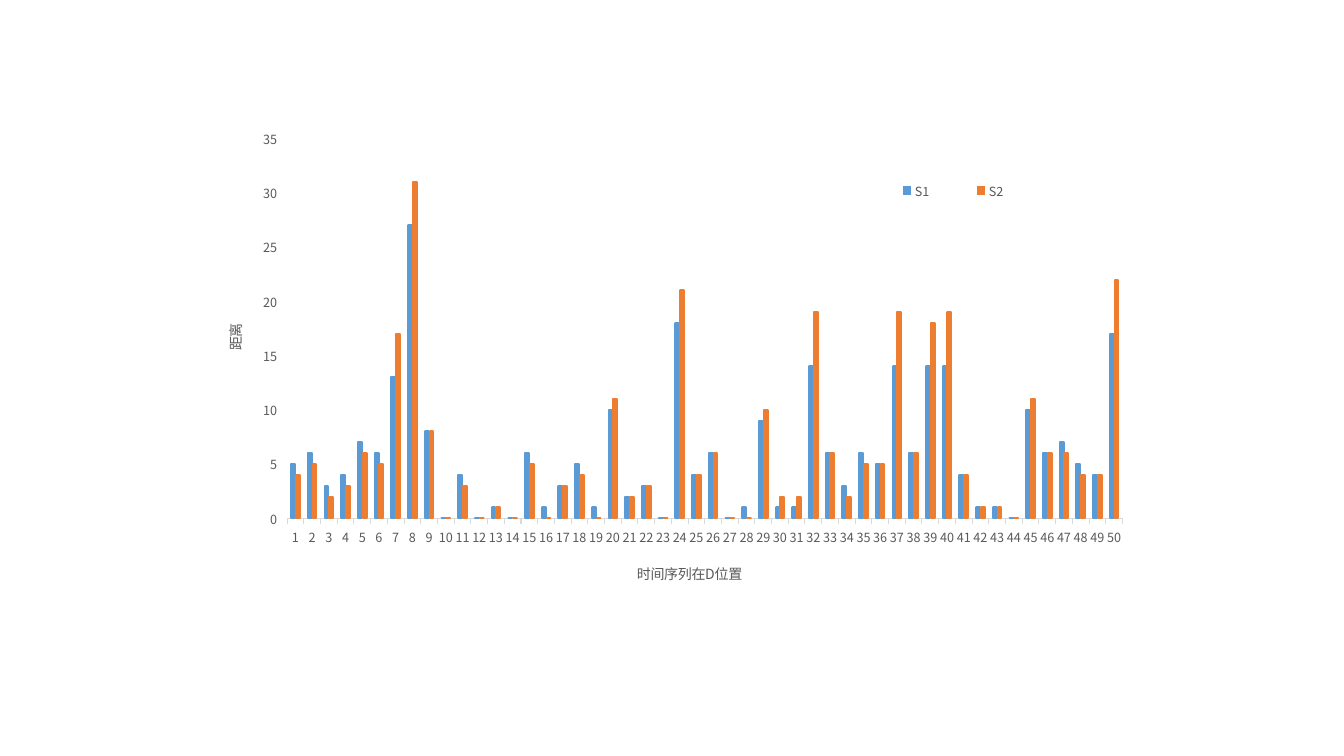
from lxml.etree import SubElement
from pptx import Presentation
from pptx.chart.data import CategoryChartData
from pptx.dml.color import RGBColor
from pptx.enum.chart import XL_CHART_TYPE, XL_LEGEND_POSITION, XL_TICK_MARK
from pptx.oxml.ns import qn
from pptx.util import Inches, Pt

FONT = "Noto Sans CJK SC"
GREY = RGBColor(0x59, 0x59, 0x59)
AXIS_GREY = RGBColor(0xD9, 0xD9, 0xD9)
BLUE = RGBColor(0x5B, 0x9B, 0xD5)
ORANGE = RGBColor(0xED, 0x7D, 0x31)

DISTANCES = {
    "S1": (5, 6, 3, 4, 7, 6, 13, 27, 8, 0, 4, 0, 1, 0, 6, 1, 3, 5, 1, 10,
           2, 3, 0, 18, 4, 6, 0, 1, 9, 1, 1, 14, 6, 3, 6, 5, 14, 6, 14, 14,
           4, 1, 1, 0, 10, 6, 7, 5, 4, 17),
    "S2": (4, 5, 2, 3, 6, 5, 17, 31, 8, 0, 3, 0, 1, 0, 5, 0, 3, 4, 0, 11,
           2, 3, 0, 21, 4, 6, 0, 0, 10, 2, 2, 19, 6, 2, 5, 5, 19, 6, 18, 19,
           4, 1, 1, 0, 11, 6, 6, 4, 4, 22),
}


def style_font(font, size):
    font.size = Pt(size)
    font.bold = False
    font.color.rgb = GREY
    font.name = FONT
    SubElement(font._element, qn("a:ea"), typeface=FONT)


def place(part, index, **shares):
    """Lay a chart part out by hand, in shares of the chart's size."""
    for layout in part.findall(qn("c:layout")):
        part.remove(layout)
    layout = SubElement(part, qn("c:layout"))
    part.insert(index, layout)
    manual = SubElement(layout, qn("c:manualLayout"))
    if part.tag == qn("c:plotArea"):
        SubElement(manual, qn("c:layoutTarget"), val="inner")
    for edge in ("x", "y"):
        SubElement(manual, qn(f"c:{edge}Mode"), val="edge")
    for name, share in shares.items():
        SubElement(manual, qn(f"c:{name}"), val=str(share))


def style_axis(axis, title, x, y):
    axis.has_major_gridlines = False
    axis.major_tick_mark = XL_TICK_MARK.OUTSIDE
    axis.minor_tick_mark = XL_TICK_MARK.NONE
    style_font(axis.tick_labels.font, 9)
    frame = axis.axis_title.text_frame
    frame.text = title
    style_font(frame.paragraphs[0].font, 10)
    place(axis.axis_title._element, 1, x=x, y=y)


def style_series(series, color):
    series.format.fill.solid()
    series.format.fill.fore_color.rgb = color
    line = series.format.line
    line.color.rgb = color
    line.width = Pt(1.5)
    SubElement(line._ln, qn("a:round"))


def add_distance_chart(slide):
    data = CategoryChartData()
    data.categories = [str(position) for position in range(1, 51)]
    for name, distances in DISTANCES.items():
        data.add_series(name, distances)
    chart = slide.shapes.add_chart(
        XL_CHART_TYPE.COLUMN_CLUSTERED,
        Inches(2.01), Inches(1.17), Inches(9.31), Inches(5.16), data).chart
    chart.has_title = False
    chart.font.name = FONT
    chart.font.size = Pt(10)

    columns = chart.plots[0]
    columns.gap_width = 219
    columns.overlap = -27
    columns.vary_by_categories = False
    for series, color in zip(columns.series, (BLUE, ORANGE)):
        style_series(series, color)
    place(chart._chartSpace.chart.plotArea, 0, x=0.09, y=0.04, w=0.89, h=0.73)

    positions, distances = chart.category_axis, chart.value_axis
    style_axis(positions, "时间序列在D位置", x=0.46, y=0.85)
    positions.format.line.color.rgb = AXIS_GREY
    positions.format.line.width = Pt(0.75)
    style_axis(distances, "距离", x=0.02, y=0.39)
    distances.axis_title.text_frame._txBody.bodyPr.set("rot", "-5400000")
    distances.format.line.fill.background()
    distances.minimum_scale, distances.maximum_scale = 0, 35
    distances.major_unit = 5

    chart.has_legend = True
    chart.legend.position = XL_LEGEND_POSITION.BOTTOM
    chart.legend.include_in_layout = False
    style_font(chart.legend.font, 9)
    place(chart.legend._element, 1, x=0.7, y=0.11, w=0.2, h=0.06)


def main():
    deck = Presentation()
    deck.slide_width, deck.slide_height = Inches(13.33), Inches(7.5)
    add_distance_chart(deck.slides.add_slide(deck.slide_layouts[6]))
    deck.save("out.pptx")


if __name__ == "__main__":
    main()
